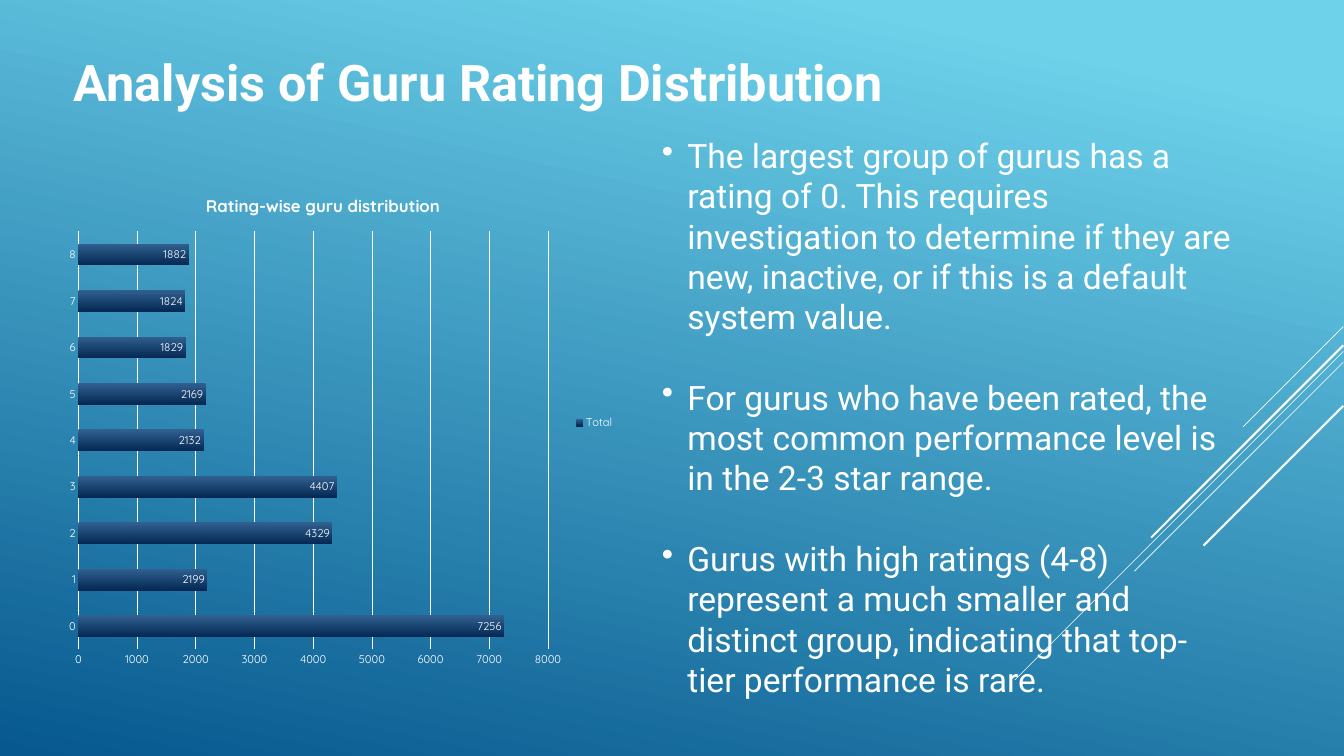
from collections import namedtuple

from lxml.etree import SubElement
from pptx import Presentation
from pptx.chart.data import CategoryChartData
from pptx.dml.color import RGBColor
from pptx.enum.chart import XL_CHART_TYPE as ChartType
from pptx.enum.chart import XL_LABEL_POSITION as LabelPosition
from pptx.enum.chart import XL_LEGEND_POSITION as LegendPosition
from pptx.enum.chart import XL_TICK_MARK as TickMark
from pptx.enum.shapes import MSO_CONNECTOR as Connector
from pptx.enum.text import MSO_ANCHOR as Anchor
from pptx.enum.text import MSO_AUTO_SIZE as AutoSize
from pptx.enum.text import PP_ALIGN as Align
from pptx.oxml.ns import qn
from pptx.util import Inches, Pt

COLORS = {
    "sky": "6ED2EB",
    "deep": "06588E",
    "bar_top": "316190",
    "bar_bottom": "042853",
    "white": "FFFFFF",
}

# Grid of 80 columns by 45 rows on a 20 x 11.25 inch slide
CELL = Inches(0.25)
COLUMNS, ROWS = 80, 45
Box = namedtuple("Box", "left top width height")

RATING_COUNTS = [7256, 2199, 4329, 4407, 2132, 2169, 1829, 1824, 1882]
FINDINGS = [
    "The largest group of gurus has a rating of 0. This requires investigation "
    "to determine if they are new, inactive, or if this is a default system value.",
    "For gurus who have been rated, the most common performance level is "
    "in the 2-3 star range.",
    "Gurus with high ratings (4-8) represent a much smaller and distinct group, "
    "indicating that top-tier performance is rare.",
]
# Diagonals: start row below the box top, run in columns, weight in points
DIAGONALS = [(0, 5.96, 0.75), (1.48, 19.56, 0.75), (2.12, 12.44, 0.75),
             (1.12, 11.44, 2.25), (4.72, 8.32, 2.25)]


def rgb(name):
    return RGBColor.from_string(COLORS[name])


def grid(columns, rows, width, height):
    return Box(*(int(cells * CELL) for cells in (columns, rows, width, height)))


def style_font(font, name, size, bold=False):
    font.name, font.size, font.bold = name, Pt(size), bold
    font.color.rgb = rgb("white")


def style_line(line, weight):
    line.color.rgb = rgb("white")
    line.width = Pt(weight)


def fill_gradient(fill, clockwise, *stops):
    fill.gradient()
    fill.gradient_angle = 360 - clockwise
    for stop, (position, color) in zip(fill.gradient_stops, stops):
        stop.position = position
        stop.color.rgb = rgb(color)


def place_in_chart(parent, index, inner=False, **shares):
    """Fix the place of a chart part, in shares of the chart's size."""
    for old in parent.findall(qn("c:layout")):
        parent.remove(old)
    layout = SubElement(parent, qn("c:layout"))
    parent.insert(index, layout)
    manual = SubElement(layout, qn("c:manualLayout"))
    if inner:
        SubElement(manual, qn("c:layoutTarget"), val="inner")
    for side in ("x", "y"):
        SubElement(manual, qn(f"c:{side}Mode"), val="edge")
    for side, share in shares.items():
        SubElement(manual, qn(f"c:{side}"), val=str(share))


def add_diagonals(slide, box):
    right = box.left + box.width
    for drop, run, weight in DIAGONALS:
        start = box.top + int(drop * CELL)
        length = int(run * CELL)
        diagonal = slide.shapes.add_connector(
            Connector.STRAIGHT, right, start, right - length, start + length)
        style_line(diagonal.line, weight)
        SubElement(diagonal.element.spPr, qn("a:effectLst"))


def add_title(slide, box):
    title = slide.shapes.title
    title.left, title.top, title.width, title.height = box
    frame = title.text_frame
    frame.text = "Analysis of Guru Rating Distribution"
    frame.margin_left = frame.margin_right = frame.margin_top = frame.margin_bottom = 0
    frame.vertical_anchor = Anchor.TOP
    frame.auto_size = AutoSize.SHAPE_TO_FIT_TEXT
    heading = frame.paragraphs[0]
    heading.alignment = Align.LEFT
    heading.line_spacing = Pt(66)
    style_font(heading.font, "Roboto", 54, bold=True)


def add_rating_chart(slide, box):
    ratings = CategoryChartData()
    ratings.categories = [str(rating) for rating in range(len(RATING_COUNTS))]
    ratings.add_series("Total", RATING_COUNTS)
    chart = slide.shapes.add_chart(ChartType.BAR_CLUSTERED, *box, ratings).chart
    style_font(chart.font, "Quicksand", 12)

    # Title and plot area
    caption = chart.chart_title.text_frame
    caption.text = "Rating-wise guru distribution"
    style_font(caption.paragraphs[0].font, "Quicksand", 18, bold=True)
    place_in_chart(chart.element.find(".//" + qn("c:title")), 1, x=0.26, y=0.04)
    place_in_chart(chart.element.find(".//" + qn("c:plotArea")), 0, inner=True,
                   x=0.04, y=0.12, w=0.83, h=0.83)

    # Bars and their values
    plot = chart.plots[0]
    plot.gap_width, plot.overlap = 115, -20
    plot.vary_by_categories = False
    fill_gradient(plot.series[0].format.fill, 90, (0, "bar_top"), (1, "bar_bottom"))
    plot.has_data_labels = True
    labels = plot.data_labels
    labels.show_value = True
    labels.position = LabelPosition.INSIDE_END
    style_font(labels.font, "Quicksand", 12)

    # Axes
    rating_axis, count_axis = chart.category_axis, chart.value_axis
    for axis in (rating_axis, count_axis):
        axis.major_tick_mark = axis.minor_tick_mark = TickMark.NONE
        style_font(axis.tick_labels.font, "Quicksand", 12)
    style_line(rating_axis.format.line, 1)
    count_axis.minimum_scale, count_axis.maximum_scale = 0, 8000
    count_axis.major_unit = 1000
    count_axis.format.line.fill.background()
    style_line(count_axis.major_gridlines.format.line, 0.75)

    # Legend
    chart.has_legend = True
    chart.legend.position = LegendPosition.RIGHT
    chart.legend.include_in_layout = False
    style_font(chart.legend.font, "Quicksand", 12)


def add_findings(slide, box):
    frame = slide.shapes.add_textbox(*box).text_frame
    frame.word_wrap = True
    frame.auto_size = AutoSize.SHAPE_TO_FIT_TEXT
    indent = Inches(0.38)
    for number, finding in enumerate(FINDINGS):
        point = frame.add_paragraph() if number else frame.paragraphs[0]
        point.text = finding
        point.space_before = Pt(43 if number else 0)
        style_font(point.font, "Roboto", 36)
        properties = point._p.get_or_add_pPr()
        properties.set("marL", str(indent))
        properties.set("indent", str(-indent))
        bullet = SubElement(properties, qn("a:buChar"), char="•")
        properties.find(qn("a:defRPr")).addprevious(bullet)


def main():
    deck = Presentation()
    deck.slide_width, deck.slide_height = COLUMNS * CELL, ROWS * CELL
    slide = deck.slides.add_slide(deck.slide_layouts.get_by_name("Title Only"))
    fill_gradient(slide.background.fill, 102, (0.1, "sky"), (1, "deep"))
    add_diagonals(slide, grid(60.4, 19.44, 19.56, 21.08))
    add_title(slide, grid(4.4, 3, 61, 3.48))
    add_rating_chart(slide, grid(3.32, 10.16, 33.68, 30))
    add_findings(slide, grid(39, 7.84, 34.92, 34.32))
    deck.save("out.pptx")


if __name__ == "__main__":
    main()
